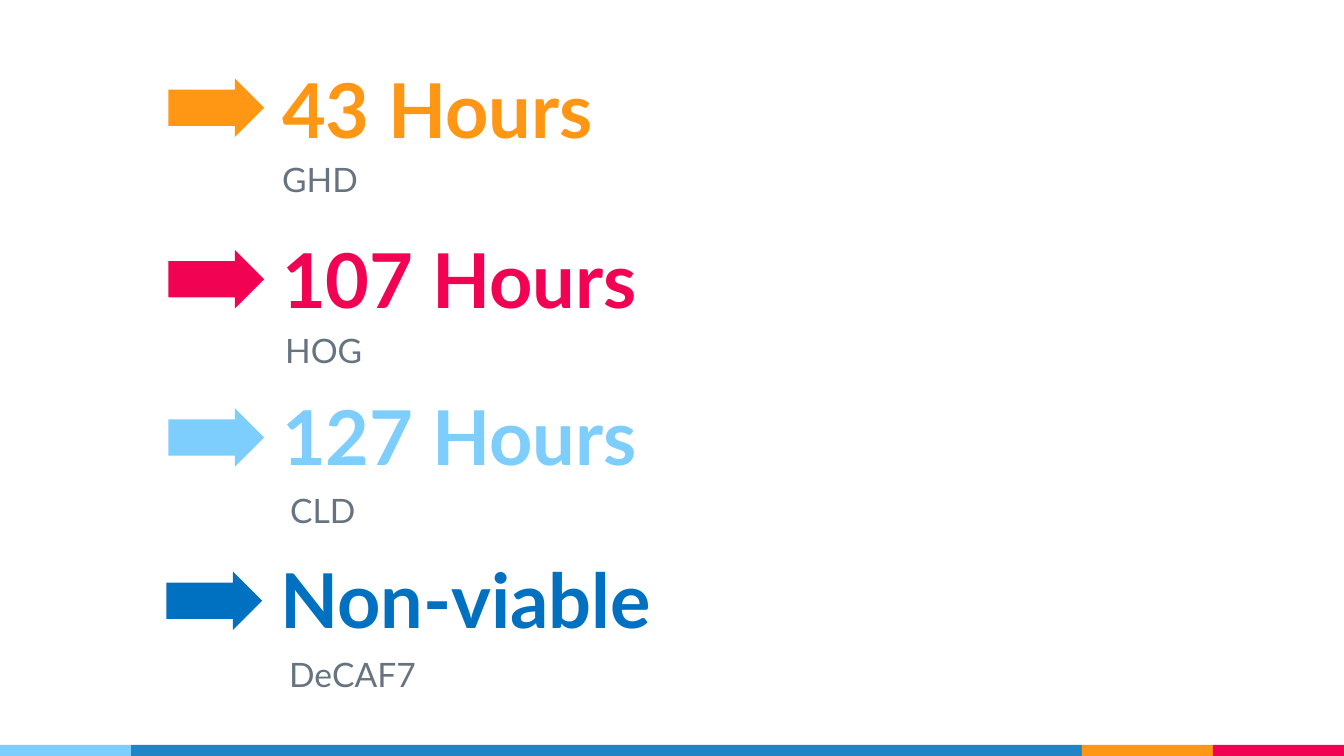
import pptx
import pptx.util
import pptx.dml.color
import pptx.enum.shapes
import pptx.enum.text

Inches = pptx.util.Inches
Shape = pptx.enum.shapes.MSO_SHAPE
Anchor = pptx.enum.text.MSO_ANCHOR

COLORS = {
    "orange": "FF9715",
    "pink": "F20253",
    "sky": "7ECEFD",
    "navy": "0070C0",
    "blue": "2185C5",
    "gray": "677480",
}

ROWS = [
    ("43 Hours", "GHD", "orange", (1.67, 0.78), (2.7, 0.84), (2.7, 1.48)),
    ("107 Hours", "HOG", "pink", (1.67, 2.48), (2.7, 2.53), (2.73, 3.17)),
    ("127 Hours", "CLD", "sky", (1.67, 4.05), (2.7, 4.09), (2.78, 4.76)),
    ("Non-viable", "DeCAF7", "navy", (1.65, 5.67), (2.68, 5.71), (2.77, 6.39)),
]
BANDS = [("sky", 1.3), ("blue", 9.43), ("orange", 1.3), ("pink", 1.3)]


def add_solid(slide, kind, color, left, top, width, height):
    shape = slide.shapes.add_shape(
        kind, Inches(left), Inches(top), Inches(width), Inches(height))
    shape.shadow.inherit = False
    shape.fill.solid()
    shape.fill.fore_color.rgb = pptx.dml.color.RGBColor.from_string(COLORS[color])
    shape.line.fill.background()
    return shape


def add_label(slide, text, color, spot, height, size, bold, anchor):
    left, top = spot
    box = slide.shapes.add_textbox(
        Inches(left), Inches(top), Inches(7.57), Inches(height))
    frame = box.text_frame
    frame.word_wrap = True
    frame.vertical_anchor = anchor
    frame.margin_left = frame.margin_right = Inches(0.1)
    frame.margin_top = frame.margin_bottom = Inches(0.1)
    para = frame.paragraphs[0]
    para.text = text
    font = para.font
    font.name = "Lato"
    font.size = pptx.util.Pt(size)
    font.bold = bold
    font.color.rgb = pptx.dml.color.RGBColor.from_string(COLORS[color])


def main():
    deck = pptx.Presentation()
    deck.slide_width = Inches(13.33)
    deck.slide_height = Inches(7.5)
    slide = deck.slides.add_slide(deck.slide_layouts[6])

    left = 0
    for color, width in BANDS:
        add_solid(slide, Shape.RECTANGLE, color, left, 7.39, width, 0.11)
        left += width

    for title, name, color, tip, head, sub in ROWS:
        arrow = add_solid(slide, Shape.RIGHT_ARROW, color, *tip, 0.95, 0.58)
        arrow.adjustments[0] = 0.62
        arrow.adjustments[1] = 0.5
        add_label(slide, title, color, head, 0.78, 54, True, Anchor.BOTTOM)
        add_label(slide, name, "gray", sub, 0.4, 24, False, Anchor.TOP)

    deck.save("out.pptx")


if __name__ == "__main__":
    main()
